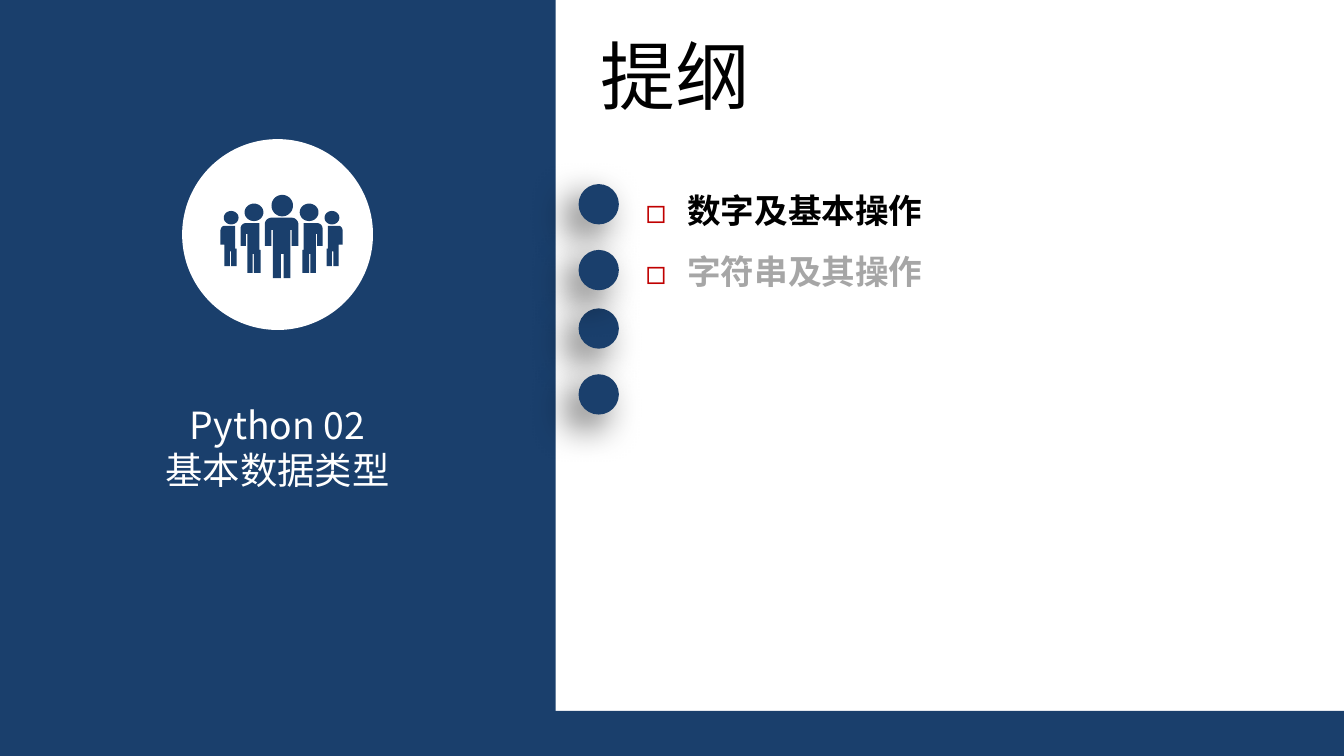
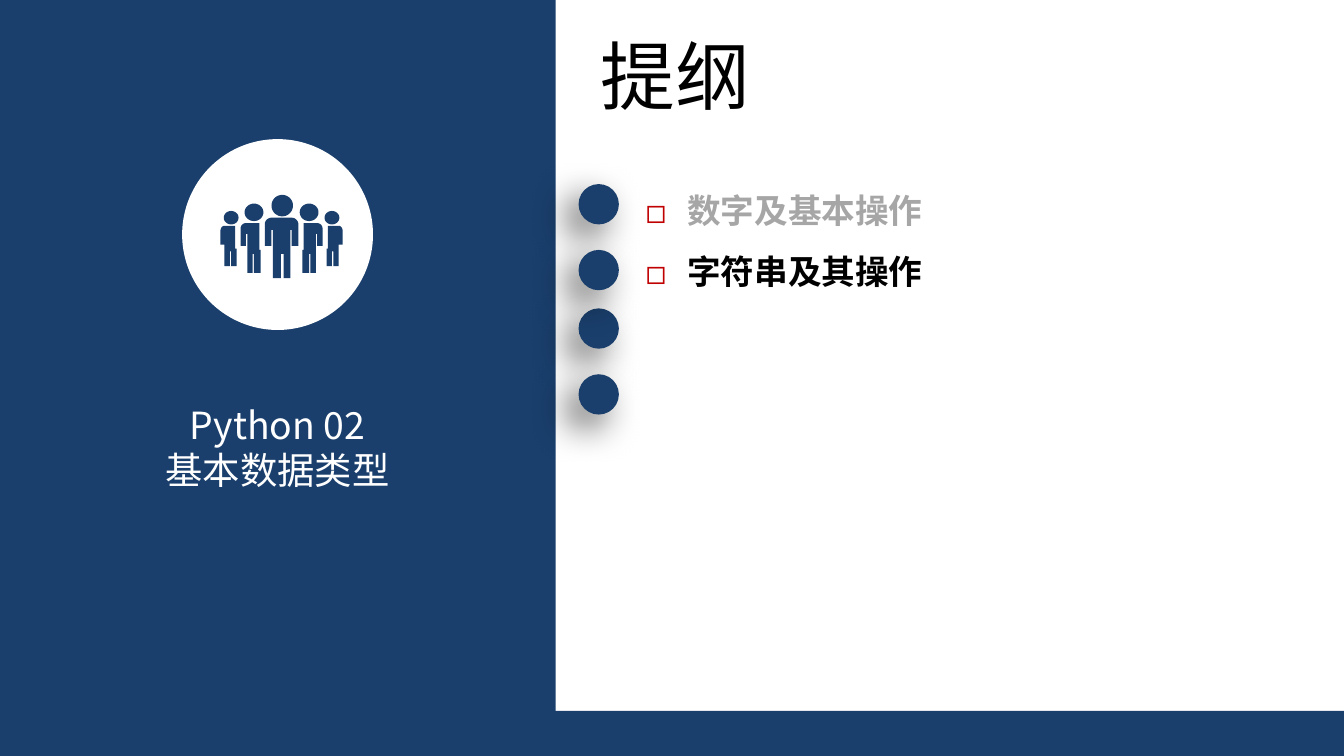
from math import cos, pi, sin

from lxml import etree
from pptx import Presentation
from pptx.dml.color import RGBColor
from pptx.enum.shapes import MSO_SHAPE
from pptx.enum.text import MSO_AUTO_SIZE, PP_ALIGN
from pptx.oxml.ns import qn
from pptx.util import Pt

# Content
OUTLINE_TITLE = "提纲"
LECTURE = ("Python 02", "基本数据类型")
TOPICS = ("数字及基本操作", "字符串及其操作")
BULLET = "◻"

# Style
PX = 4572  # 200 px to the inch
SLIDE_W, SLIDE_H = 2000, 1125
FONT = "Noto Sans CJK SC"
NAVY = RGBColor(0x1A, 0x3F, 0x6C)
WHITE = RGBColor(0xFF, 0xFF, 0xFF)
BLACK = RGBColor(0, 0, 0)
GREY = RGBColor(0xA6, 0xA6, 0xA6)
BULLET_RED = "C00000"
RECT, OVAL = MSO_SHAPE.RECTANGLE, MSO_SHAPE.OVAL
GROW = MSO_AUTO_SIZE.SHAPE_TO_FIT_TEXT
LEFT, CENTER = PP_ALIGN.LEFT, PP_ALIGN.CENTER

# Layout
FOOTER_BAND = (0, 1058, SLIDE_W, 67)
SIDE_PANEL = (0, 0, 827, SLIDE_H)
TITLE_BOX = (874, 34, 264, 154)
LECTURE_BOX = (118, 599, 590, 134)
TOPICS_BOX = (941, 243, 998, 282)
BADGE = (271, 207, 284, 284)
DOT_X, DOT_SIZE = 861, 60
DOT_TOPS = (274, 459, 557, 372)
TOPIC_INDENT = 62


def arc(cx, cy, rx, ry, start=0, sweep=360):
    """Points on an ellipse, clockwise, in degrees from the right."""
    steps = max(6, sweep // 10)
    angles = [(start + sweep * i / steps) * pi / 180 for i in range(steps + 1)]
    return [(cx + rx * cos(a), cy + ry * sin(a)) for a in angles]


# People icon: a leader, and two figures that stand on both sides
ICON_UNIT = 2 * PX
MIRROR_SUM = 419
LEADER = [
    arc(210, 153, 8, 8),
    arc(202, 167, 5, 5, 180, 90) + arc(217, 167, 5, 5, 270, 90) + [
        (222, 183), (217, 183), (217, 171), (216, 171), (216, 207), (211, 207),
        (211, 189), (209, 189), (209, 207), (203, 207), (203, 171), (202, 171),
        (202, 183), (197, 183)],
]
SIDE_FIGURES = [
    arc(189, 158, 7, 6.5),
    arc(183, 170, 4, 4, 180, 90) + [
        (193, 166), (193, 186), (194, 186), (194, 203), (189, 203), (189, 189),
        (188, 189), (188, 203), (184, 203), (184, 174), (183, 174), (183, 183),
        (179, 183)],
    arc(172, 162, 5.5, 5),
    arc(167, 172, 3, 4, 180, 90) + [
        (175, 168), (175, 185), (176, 185), (176, 198), (172, 198), (172, 187),
        (171, 187), (171, 198), (167, 198), (167, 182), (164, 182)],
]
MIRRORED = [[(MIRROR_SUM - x, y) for x, y in outline] for outline in SIDE_FIGURES]
PEOPLE = LEADER + SIDE_FIGURES + MIRRORED


def icon_emu(points):
    return [tuple(round(v * ICON_UNIT) for v in point) for point in points]


def paint(shape, color):
    shape.shadow.inherit = False
    shape.fill.solid()
    shape.fill.fore_color.rgb = color
    shape.line.fill.background()


def add_filled(shapes, kind, box, color):
    shape = shapes.add_shape(kind, *(v * PX for v in box))
    paint(shape, color)
    return shape


def add_text(slide, box, lines, size, colors, bold=False, align=LEFT, wrap=True):
    textbox = slide.shapes.add_textbox(*(v * PX for v in box))
    frame = textbox.text_frame
    frame.text = "\n".join(lines)
    frame.word_wrap = wrap
    frame.auto_size = GROW
    for paragraph, color in zip(frame.paragraphs, colors):
        paragraph.alignment = align
        font = paragraph.runs[0].font
        font.name, font.size, font.bold = FONT, Pt(size), bold
        font.color.rgb = color
    for run_style in textbox.element.iter(qn("a:rPr")):
        etree.SubElement(run_style, qn("a:ea"), typeface=FONT)
    return textbox


def add_bullets(textbox):
    for paragraph in textbox.text_frame.paragraphs:
        paragraph.line_spacing = 1.5
    for style in textbox.element.iter(qn("a:pPr")):
        style.set("marL", str(TOPIC_INDENT * PX))
        style.set("indent", str(-TOPIC_INDENT * PX))
        color = etree.SubElement(style, qn("a:buClr"))
        etree.SubElement(color, qn("a:srgbClr"), val=BULLET_RED)
        etree.SubElement(style, qn("a:buFont"), typeface=FONT)
        etree.SubElement(style, qn("a:buChar"), char=BULLET)


def add_soft_shadow(shape):
    effects = shape.element.spPr.find(qn("a:effectLst"))
    shadow = etree.SubElement(
        effects, qn("a:outerShdw"), blurRad=str(Pt(20)), dist=str(Pt(10)),
        dir=str(135 * 60000), algn="tr", rotWithShape="0")
    color = etree.SubElement(shadow, qn("a:srgbClr"), val=str(BLACK))
    etree.SubElement(color, qn("a:alpha"), val="60000")


def add_people_badge(slide):
    badge = slide.shapes.add_group_shape()
    add_filled(badge.shapes, OVAL, BADGE, WHITE)
    first, *others = [icon_emu(outline) for outline in PEOPLE]
    builder = badge.shapes.build_freeform(*first[0], scale=1.0)
    builder.add_line_segments(first[1:], close=True)
    for outline in others:
        builder.move_to(*outline[0])
        builder.add_line_segments(outline[1:], close=True)
    paint(builder.convert_to_shape(), NAVY)


def add_outline_slide(prs, layout, current):
    slide = prs.slides.add_slide(layout)
    add_filled(slide.shapes, RECT, SIDE_PANEL, NAVY)
    add_text(slide, TITLE_BOX, [OUTLINE_TITLE], 40, [BLACK], wrap=False)
    lecture = add_text(slide, LECTURE_BOX, LECTURE, 20, [WHITE] * 2, align=CENTER)
    frame = lecture.text_frame
    frame.margin_left = frame.margin_right = 0
    frame.margin_top = frame.margin_bottom = 0
    add_people_badge(slide)

    # Only the current topic is black
    colors = [BLACK if topic == current else GREY for topic in TOPICS]
    add_bullets(add_text(slide, TOPICS_BOX, TOPICS, 18, colors, bold=True))
    for top in DOT_TOPS:
        dot = add_filled(slide.shapes, OVAL, (DOT_X, top, DOT_SIZE, DOT_SIZE), NAVY)
        add_soft_shadow(dot)
    return slide


def main():
    prs = Presentation()
    prs.slide_width, prs.slide_height = SLIDE_W * PX, SLIDE_H * PX
    layout = prs.slide_layouts[6]
    slides = [add_outline_slide(prs, layout, topic) for topic in TOPICS]

    # The footer band belongs to the layout that the slides share
    band = add_filled(slides[0].shapes, RECT, FOOTER_BAND, NAVY)
    layout.shapes.element.append(band.element)
    prs.save("out.pptx")


if __name__ == "__main__":
    main()
